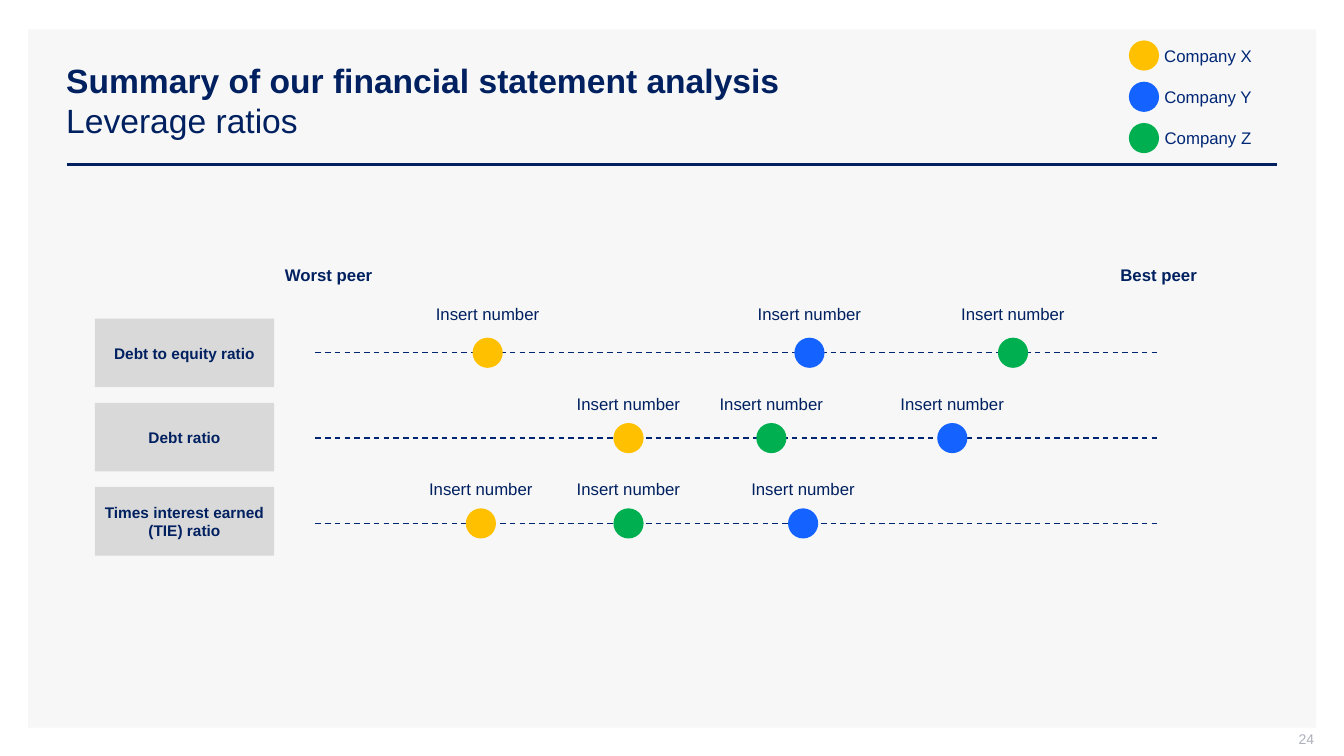
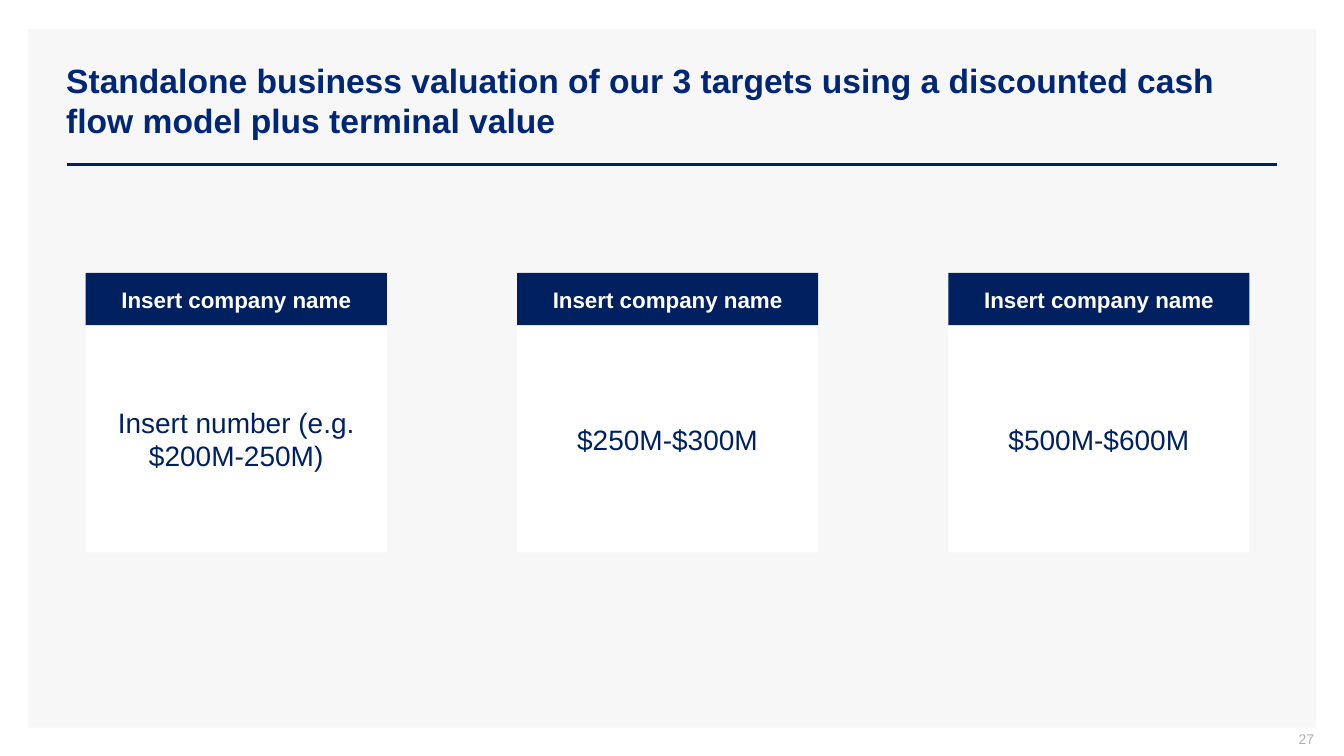
from lxml.etree import SubElement
from pptx import Presentation
from pptx.dml.color import RGBColor
from pptx.enum.dml import MSO_LINE
from pptx.enum.shapes import MSO_CONNECTOR, MSO_SHAPE
from pptx.enum.text import MSO_ANCHOR, PP_ALIGN
from pptx.oxml.ns import qn
from pptx.util import Cm, Pt

FONT = "Arial"
NAVY, BLUE, INK = "002060", "002776", "002673"
PANEL, GREY, WHITE, PALE = "F7F7F7", "D9D9D9", "FFFFFF", "ADAFBB"
PEERS = {"X": "FFC000", "Y": "1462FF", "Z": "00B050"}
DOT = 0.76


def color(code):
    return RGBColor.from_string(code)


def write(frame, text, size=12, ink=NAVY, bold=False, sub=None, gap=0,
          align=PP_ALIGN.CENTER, anchor=MSO_ANCHOR.MIDDLE, wrap=True):
    """Fill a frame with text, and an optional plain second line."""
    frame.word_wrap = wrap
    frame.vertical_anchor = anchor
    para = frame.paragraphs[0]
    para.alignment = align
    para.space_before = para.space_after = Pt(gap)
    parts = [(text, bold)]
    if sub:
        parts.append((sub, False))
    for num, (words, heavy) in enumerate(parts):
        if num:
            para.add_line_break()
        run = para.add_run()
        run.text = words
        font = run.font
        font.name, font.size, font.bold = FONT, Pt(size), heavy
        font.color.rgb = color(ink)


class Deck:
    def __init__(self):
        self.file = Presentation()
        self.file.slide_width, self.file.slide_height = Cm(33.87), Cm(19.05)
        self.slide = None

    def page(self, title, number, **style):
        """Start a slide with its panel, rule, title and page number."""
        self.slide = self.file.slides.add_slide(self.file.slide_layouts[6])
        self.shape(0.71, 0.74, 32.46, 17.6, PANEL)
        self.line(1.68, 32.18, 4.14, NAVY, 2)
        self.text(1.42, 1.02, 30.76, 3.02, title, size=24, bold=True,
                  align=PP_ALIGN.LEFT, anchor=MSO_ANCHOR.MIDDLE, **style)
        foot = self.text(25.5, 18.42, 7.62, 0.53, number, size=10, ink=PALE,
                         align=PP_ALIGN.RIGHT, anchor=MSO_ANCHOR.MIDDLE)
        foot.margin_top = foot.margin_right = 0

    def shape(self, left, top, width, height, fill, kind=MSO_SHAPE.RECTANGLE):
        item = self.slide.shapes.add_shape(
            kind, Cm(left), Cm(top), Cm(width), Cm(height))
        item.shadow.inherit = False
        item.fill.solid()
        item.fill.fore_color.rgb = color(fill)
        item.line.fill.background()
        return item

    def box(self, left, top, width, height, fill, text, **style):
        item = self.shape(left, top, width, height, fill)
        write(item.text_frame, text, **style)

    def dot(self, mid, top, peer):
        self.shape(mid - DOT / 2, top, DOT, DOT, PEERS[peer], MSO_SHAPE.OVAL)

    def text(self, left, top, width, height, text, anchor=MSO_ANCHOR.TOP,
             **style):
        item = self.slide.shapes.add_textbox(
            Cm(left), Cm(top), Cm(width), Cm(height))
        write(item.text_frame, text, anchor=anchor, **style)
        return item.text_frame

    def label(self, mid, top, text, **style):
        """Place one unwrapped line centred on mid."""
        self.text(mid - 1.6, top, 3.2, DOT, text, wrap=False, **style)

    def line(self, start, end, top, ink, width, dash=None):
        item = self.slide.shapes.add_connector(
            MSO_CONNECTOR.STRAIGHT, Cm(start), Cm(top), Cm(end), Cm(top))
        item.line.color.rgb = color(ink)
        item.line.width = Pt(width)
        if dash:
            item.line.dash_style = dash
        SubElement(item._element.spPr, qn("a:effectLst"))


def ratios(deck):
    deck.page("Summary of our financial statement analysis", "24",
              sub="Leverage ratios")

    # Legend
    for i, peer in enumerate(PEERS):
        top = 1.02 + 1.04 * i
        deck.dot(28.83, top, peer)
        deck.text(28.22, top, 4.45, DOT, f"Company {peer}", ink=BLUE)

    # Scale ends
    deck.label(8.28, 6.55, "Worst peer", bold=True)
    deck.label(29.2, 6.55, "Best peer", bold=True)

    # Rows: name, top of the labels, middle of each peer's dot
    rows = [
        ("Debt to equity ratio", 7.54, {"X": 12.29, "Y": 20.4, "Z": 25.53}),
        ("Debt ratio", 9.8, {"X": 15.84, "Z": 19.44, "Y": 24}),
        ("Times interest earned (TIE) ratio", 11.94,
         {"X": 12.12, "Z": 15.84, "Y": 20.24}),
    ]
    for i, (name, top, marks) in enumerate(rows):
        axis = 8.89 + 2.15 * i
        deck.box(2.39, 8.03 + 2.12 * i, 4.52, 1.73, GREY, name,
                 size=11, bold=True, gap=2)
        deck.line(7.95, 29.21, axis, INK, 1, MSO_LINE.DASH)
        for peer, mid in marks.items():
            deck.dot(mid, axis - DOT / 2, peer)
            deck.label(mid, top, "Insert number")


def values(deck):
    deck.page("Standalone business valuation of our 3 targets using a "
              "discounted cash flow model plus terminal value", "27",
              ink=BLUE, gap=4)

    # Cards
    sums = ["Insert number (e.g. $200M-250M)", "$250M-$300M", "$500M-$600M"]
    for i, value in enumerate(sums):
        left = 2.16 + 10.87 * i
        deck.box(left, 6.88, 7.59, 1.32, NAVY, "Insert company name",
                 size=16, ink=WHITE, bold=True)
        deck.box(left, 8.2, 7.59, 5.72, WHITE, value, size=20, gap=4)


def main():
    deck = Deck()
    ratios(deck)
    values(deck)
    deck.file.save("out.pptx")


if __name__ == "__main__":
    main()
